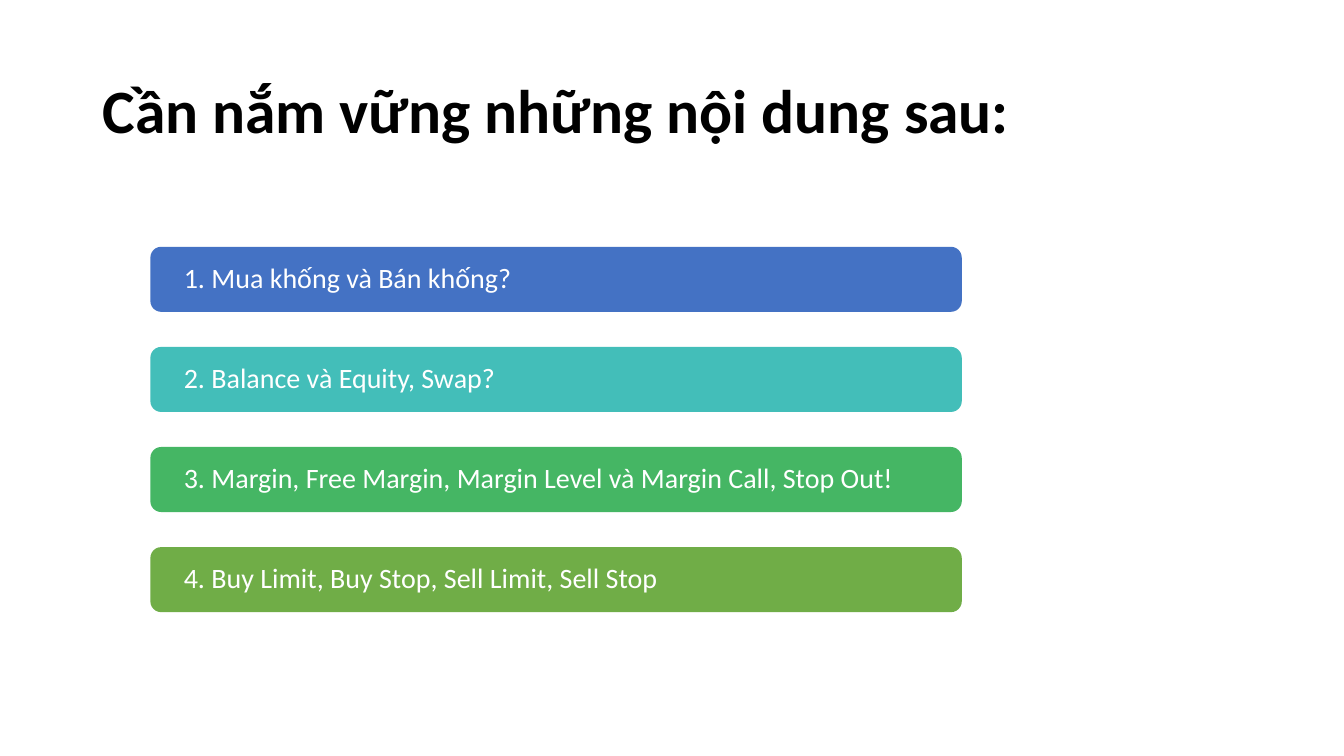
from dataclasses import dataclass

from pptx import Presentation
from pptx import util as u
from pptx.dml.color import RGBColor
from pptx.enum import shapes, text


@dataclass(frozen=True)
class Theme:
    font: str = "Calibri"
    title_size: int = 44
    topic_size: int = 20
    title_color: str = "000000"
    topic_color: str = "FFFFFF"
    bar_colors: tuple = ("4472C4", "43BEB9", "45B664", "70AD47")


class TopicPage:
    def __init__(self, deck, theme):
        self.theme = theme
        self.page = deck.slides.add_slide(deck.slide_layouts[5])

    def add_words(self, box, words, size, color, bold=False):
        frame = box.text_frame
        frame.word_wrap = True
        frame.vertical_anchor = text.MSO_ANCHOR.MIDDLE
        para = frame.paragraphs[0]
        para.alignment = text.PP_ALIGN.LEFT
        para.line_spacing = 0.9
        span = para.add_run()
        span.text = words
        span.font.name = self.theme.font
        span.font.size = u.Pt(size)
        span.font.bold = bold
        span.font.color.rgb = RGBColor.from_string(color)

    def title(self, words, left, top, width, height):
        box = self.page.shapes.title
        box.left, box.top = u.Pt(left), u.Pt(top)
        box.width, box.height = u.Pt(width), u.Pt(height)
        self.add_words(box, words, self.theme.title_size, self.theme.title_color, bold=True)

    def bar(self, words, color, left, top, width, height):
        box = self.page.shapes.add_shape(
            shapes.MSO_SHAPE.ROUNDED_RECTANGLE,
            u.Pt(left), u.Pt(top), u.Pt(width), u.Pt(height))
        box.shadow.inherit = False
        box.fill.solid()
        box.fill.fore_color.rgb = RGBColor.from_string(color)
        box.line.fill.background()
        frame = box.text_frame
        frame.margin_left = frame.margin_right = u.Pt(21.6)
        frame.margin_top = frame.margin_bottom = 0
        self.add_words(box, words, self.theme.topic_size, self.theme.topic_color)


def main():
    deck = Presentation()
    deck.slide_width, deck.slide_height = u.Pt(960), u.Pt(540)
    theme = Theme()
    page = TopicPage(deck, theme)

    # Heading
    page.title("Cần nắm vững những nội dung sau:", 66, 28.75, 828, 104.4)

    # Topic bars, evenly spaced down the page
    topics = (
        "1. Mua khống và Bán khống?",
        "2. Balance và Equity, Swap?",
        "3. Margin, Free Margin, Margin Level và Margin Call, Stop Out!",
        "4. Buy Limit, Buy Stop, Sell Limit, Sell Stop",
    )
    first_top, pitch = 176.3, 71.5
    for row, (topic, color) in enumerate(zip(topics, theme.bar_colors)):
        page.bar(topic, color, 107.4, first_top + row * pitch, 579.6, 46.5)

    deck.save("out.pptx")


if __name__ == "__main__":
    main()
